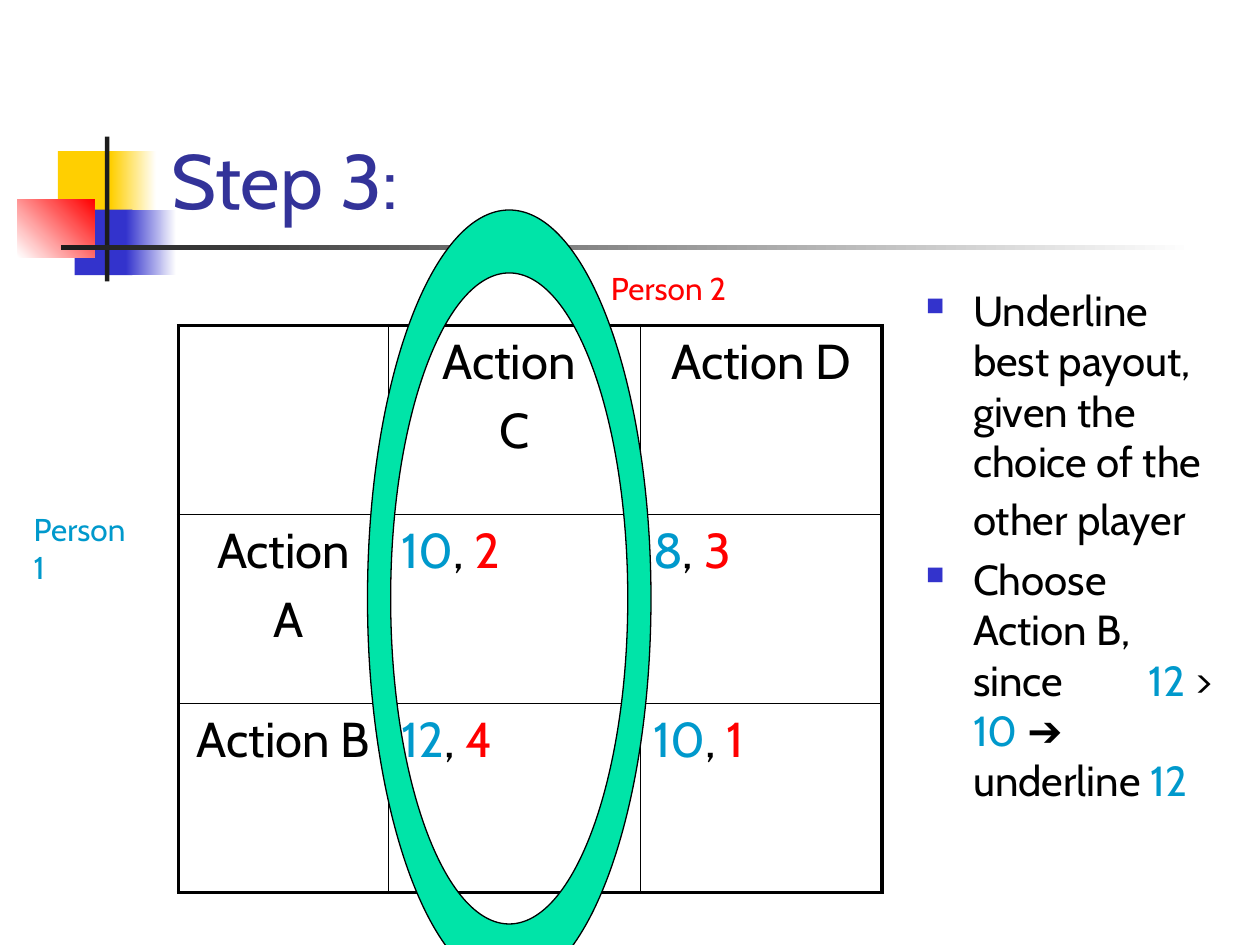
"""Build the payoff-matrix slide for step 3."""
from dataclasses import dataclass

from lxml.etree import SubElement
from pptx import Presentation
from pptx.dml.color import RGBColor
from pptx.enum.shapes import MSO_SHAPE
from pptx.enum.text import MSO_ANCHOR, PP_ALIGN
from pptx.oxml.ns import qn
from pptx.util import Pt


@dataclass(frozen=True)
class Theme:
    font: str = "Cabin"
    symbols: str = "OpenSymbol"
    title: float = 44
    cell: float = 28
    body: float = 24
    label: float = 18
    ink: str = "000000"
    heading: str = "333399"
    first: str = "0099CC"
    second: str = "FF0000"
    ring: str = "00E4A8"
    yellow: str = "FFCF01"
    blue: str = "3333CC"
    dark: str = "1C1C1C"
    paper: str = "FFFFFF"
    outer: float = 2.25
    inner: float = 1


def rgb(color):
    return RGBColor.from_string(color)


class SlideBuilder:
    def __init__(self, slide, theme):
        self.s, self.t = slide, theme

    def runs(self, p, parts, size):
        for text, color, *special in parts:
            r = p.add_run()
            r.text = text
            r.font.name = self.t.font
            r.font.size = Pt(special[0] if special else size)
            r.font.color.rgb = rgb(color)

    def block(self, x, y, w, h, color, end=None, angle=0):
        sp = self.s.shapes.add_shape(MSO_SHAPE.RECTANGLE, Pt(x), Pt(y), Pt(w), Pt(h))
        sp.shadow.inherit = False
        sp.line.fill.background()
        if end is None:
            sp.fill.solid()
            sp.fill.fore_color.rgb = rgb(color)
            return
        sp.fill.gradient()
        sp.fill.gradient_angle = angle
        for stop, position, tone in zip(sp.fill.gradient_stops, (0, 1), (color, end)):
            stop.position = position
            stop.color.rgb = rgb(tone)

    def text(self, x, y, w, h, parts, size, anchor=MSO_ANCHOR.TOP):
        tf = self.s.shapes.add_textbox(Pt(x), Pt(y), Pt(w), Pt(h)).text_frame
        tf.word_wrap = True
        tf.vertical_anchor = anchor
        self.runs(tf.paragraphs[0], parts, size)
        return tf

    def bullets(self, x, y, w, h, items):
        tf = self.text(x, y, w, h, [], self.t.body)
        for i, parts in enumerate(items):
            p = tf.add_paragraph() if i else tf.paragraphs[0]
            p.space_before = Pt(4.8)
            pPr = p._p.get_or_add_pPr()
            pPr.set("marL", str(Pt(27)))
            pPr.set("indent", str(Pt(-27)))
            color = SubElement(pPr, qn("a:buClr"))
            SubElement(color, qn("a:srgbClr"), val=self.t.blue)
            SubElement(pPr, qn("a:buSzPct"), val="60000")
            SubElement(pPr, qn("a:buFont"), typeface=self.t.symbols)
            SubElement(pPr, qn("a:buChar"), char="■")
            self.runs(p, parts, self.t.body)
        return tf

    def border(self, cell, side, width):
        ln = SubElement(cell._tc.get_or_add_tcPr(), qn(f"a:ln{side}"), w=str(Pt(width)))
        fill = SubElement(ln, qn("a:solidFill"))
        SubElement(fill, qn("a:srgbClr"), val=self.t.ink)

    def table(self, x, y, widths, height, rows):
        n, m = len(rows), len(widths)
        table = self.s.shapes.add_table(
            n, m, Pt(x), Pt(y), Pt(sum(widths)), Pt(height * n)).table
        table.first_row = table.horz_banding = False
        for column, width in zip(table.columns, widths):
            column.width = Pt(width)
        for i, row in enumerate(rows):
            table.rows[i].height = Pt(height)
            for j, content in enumerate(row):
                cell = table.cell(i, j)
                edges = {"L": j == 0, "R": j == m - 1, "T": i == 0, "B": i == n - 1}
                for side, outside in edges.items():
                    self.border(cell, side, self.t.outer if outside else self.t.inner)
                cell.fill.background()
                self.fill_cell(cell, content)

    def fill_cell(self, cell, content):
        tf = cell.text_frame
        if isinstance(content, tuple):
            a, b = content
            parts = [(a, self.t.first), (", ", self.t.ink), (b, self.t.second)]
            self.runs(tf.paragraphs[0], parts, self.t.cell)
            return
        for k, line in enumerate(content):
            p = tf.add_paragraph() if k else tf.paragraphs[0]
            p.alignment = PP_ALIGN.CENTER
            p.space_before = Pt(5.6)
            self.runs(p, [(line, self.t.ink)], self.t.cell)

    def ellipse(self, outline, center, radii, turn):
        def add(parent, *unit):
            x, y = (int(Pt(c + r * u)) for c, r, u in zip(center, radii, unit))
            SubElement(parent, qn("a:pt"), x=str(x), y=str(y))

        k = 0.55
        add(SubElement(outline, qn("a:moveTo")), -1, 0)
        x, y = -1, 0
        for _ in range(4):
            u, v = -y * turn, x * turn
            curve = SubElement(outline, qn("a:cubicBezTo"))
            add(curve, x + k * u, y + k * v)
            add(curve, u + k * x, v + k * y)
            add(curve, u, v)
            x, y = u, v
        SubElement(outline, qn("a:close"))

    def ring(self, x, y, outer, inner):
        w, h = (2 * r for r in outer)
        builder = self.s.shapes.build_freeform(Pt(x), Pt(y))
        builder.add_line_segments([(Pt(x + w), Pt(y)), (Pt(x + w), Pt(y + h))])
        sp = builder.convert_to_shape()
        outline = next(sp._element.iter(qn("a:path")))
        for child in list(outline):
            outline.remove(child)
        self.ellipse(outline, outer, outer, 1)
        self.ellipse(outline, outer, inner, -1)
        sp.shadow.inherit = False
        sp.fill.solid()
        sp.fill.fore_color.rgb = rgb(self.t.ring)
        sp.line.color.rgb = rgb(self.t.ink)
        sp.line.width = Pt(0.75)


def main():
    prs = Presentation()
    prs.slide_width, prs.slide_height = Pt(720), Pt(540)
    t = Theme()
    b = SlideBuilder(prs.slides.add_slide(prs.slide_layouts[6]), t)

    b.block(33.1, 86.4, 34.6, 37.4, t.yellow)
    b.block(63.4, 86.4, 25.9, 37.4, t.yellow, t.paper)
    b.block(42.6, 119.8, 33.1, 37.4, t.blue)
    b.block(72, 119.8, 28.8, 37.4, t.blue, t.paper)
    b.block(10.1, 113.8, 43.9, 33.1, t.paper, t.second, 45)
    b.block(60, 78, 2.5, 82.8, t.dark)
    b.block(34.6, 140.2, 648, 2.5, t.dark, t.paper)

    b.text(90.7, 16.6, 613.4, 115.2, [("Step 3:", t.heading)], t.title, MSO_ANCHOR.BOTTOM)
    tf = b.bullets(522, 159, 182.9, 324, [
        [("Underline best payout, given the choice of the other player", t.ink),
         (" ", t.ink, t.cell)],
        [("Choose Action B, since", t.ink), (" ", t.ink), ("12", t.first),
         (" > ", t.ink), ("10 ", t.first), ("➔ underline ", t.ink), ("12", t.first)],
    ])
    gap = tf.paragraphs[1].runs[1]
    gap.font._element.set("spc", "4350")

    b.table(102, 186, (120, 144, 138), 108, [
        [[], ["Action ", "C"], ["Action D"]],
        [["Action", " A"], ("10", "2"), ("8", "3")],
        [["Action B"], ("12", "4"), ("10", "1")],
    ])
    b.text(12.2, 288, 72, 50.4, [("Person 1", t.first)], t.label)
    b.text(342, 150, 102.2, 28.8, [("Person 2", t.second)], t.label)
    b.ring(210, 120, (81, 222), (67.75, 186))
    prs.save("out.pptx")


if __name__ == "__main__":
    main()
